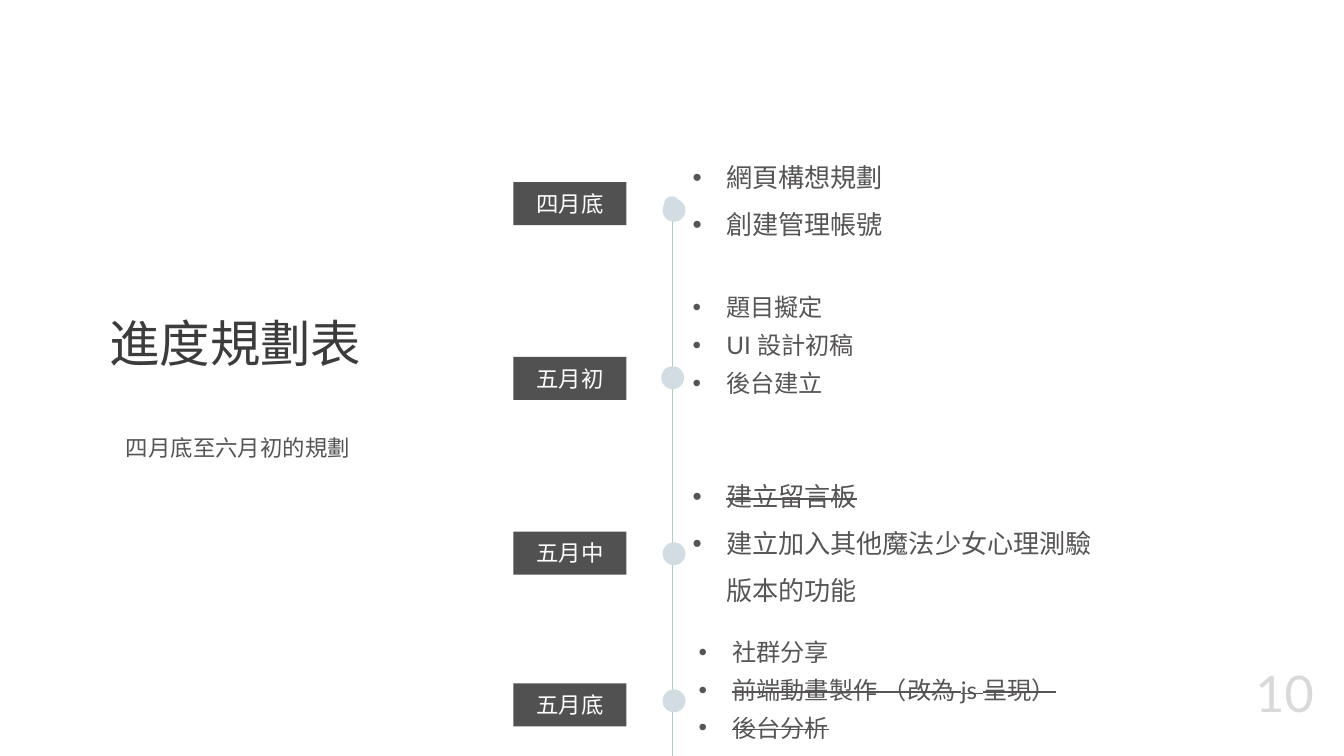
import pptx
import pptx.dml.color
import pptx.enum.shapes
import pptx.enum.text
import pptx.oxml
import pptx.oxml.ns
import pptx.util
from pptx.util import Inches

FONT = "Lato"
WHITE = "FFFFFF"
BODY_GRAY = "575454"
TITLE_GRAY = "3C3C3C"
LABEL_GRAY = "515151"
NUMBER_GRAY = "D9D9D9"
DOT_BLUE = "D1DDE2"
LINE_BLUE = "B2C7CE"

ALIGN = pptx.enum.text.PP_ALIGN
ANCHOR = pptx.enum.text.MSO_ANCHOR
SHAPE = pptx.enum.shapes.MSO_SHAPE

AXIS_X = 10
STOP_SIZE = 0.24
STOP_TOPS = [2.92 + 2.59 * step for step in range(3)]
MARKER_SIZE = 0.34
MARKERS = [(9.86, 2.96), (9.84, 5.45), (9.86, 8.07), (9.86, 10.26)]

MILESTONES = [
    ("四月底", 2.71, (10.21, 2.21, 4.29, 1.41), 28, 1.5,
     [("網頁構想規劃", False), ("創建管理帳號", False)]),
    ("五月初", 5.31, (10.21, 4.16, 4.29, 1.8), 25.9, 1.3,
     [("題目擬定", False), ("UI 設計初稿", False), ("後台建立", False)]),
    ("五月中", 7.91, (10.21, 6.85, 6.39, 2.22), 28, 1.5,
     [("建立留言板", True), ("建立加入其他魔法少女心理測驗版本的功能", False)]),
    ("五月底", 10.17, (10.3, 9.29, 6.87, 1.8), 25.9, 1.3,
     [("社群分享", False), ("前端動畫製作 （改為 js 呈現）", True), ("後台分析", True)]),
]


def color(hex_code):
    return pptx.dml.color.RGBColor.from_string(hex_code)


def add_run(paragraph, text, size, hex_code, struck=False):
    run = paragraph.add_run()
    run.text = text
    run.font.name = FONT
    run.font.size = pptx.util.Pt(size)
    run.font.color.rgb = color(hex_code)
    if struck:
        run.font._element.set("strike", "sngStrike")


def add_frame(slide, place, anchor):
    frame = slide.shapes.add_textbox(*map(Inches, place)).text_frame
    frame.word_wrap = True
    frame.vertical_anchor = anchor
    return frame


def add_text(slide, place, text, size, hex_code, anchor, align, spacing):
    paragraph = add_frame(slide, place, anchor).paragraphs[0]
    paragraph.alignment = align
    paragraph.line_spacing = spacing
    add_run(paragraph, text, size, hex_code)


def add_tasks(slide, place, size, spacing, tasks):
    frame = add_frame(slide, place, ANCHOR.BOTTOM)
    for index, (task, struck) in enumerate(tasks):
        paragraph = frame.add_paragraph() if index else frame.paragraphs[0]
        paragraph.line_spacing = spacing
        properties = paragraph._p.get_or_add_pPr()
        properties.set("marL", str(Inches(0.5)))
        properties.set("indent", str(Inches(-0.5)))
        bullet_font = pptx.oxml.parse_xml(
            f'<a:buFont {pptx.oxml.ns.nsdecls("a")} typeface="Arial"/>')
        bullet = pptx.oxml.parse_xml(
            f'<a:buChar {pptx.oxml.ns.nsdecls("a")} char="•"/>')
        properties.extend([bullet_font, bullet])
        add_run(paragraph, task, size, BODY_GRAY, struck)


def add_filled(slide, preset, place, hex_code):
    shape = slide.shapes.add_shape(preset, *map(Inches, place))
    shape.shadow.inherit = False
    shape.fill.solid()
    shape.fill.fore_color.rgb = color(hex_code)
    shape.line.fill.background()
    return shape


def add_dot(slide, left, top, size):
    add_filled(slide, SHAPE.OVAL, (left, top, size, size), DOT_BLUE)


def add_label(slide, top, text):
    label = add_filled(slide, SHAPE.RECTANGLE, (7.64, top, 1.68, 0.64), LABEL_GRAY)
    label.text_frame.vertical_anchor = ANCHOR.MIDDLE
    paragraph = label.text_frame.paragraphs[0]
    paragraph.alignment = ALIGN.CENTER
    add_run(paragraph, text, 24, WHITE)


def add_axis_line(slide, top, bottom):
    line = slide.shapes.add_connector(
        pptx.enum.shapes.MSO_CONNECTOR.STRAIGHT,
        Inches(AXIS_X), Inches(top), Inches(AXIS_X), Inches(bottom))
    line.line.color.rgb = color(LINE_BLUE)
    line.line.width = pptx.util.Pt(1)
    line._element.spPr.append(pptx.oxml.parse_xml(
        f'<a:effectLst {pptx.oxml.ns.nsdecls("a")}/>'))


def add_timeline(slide, slide_bottom):
    for top, next_top in zip(STOP_TOPS, STOP_TOPS[1:] + [slide_bottom]):
        add_dot(slide, AXIS_X - STOP_SIZE / 2, top, STOP_SIZE)
        add_axis_line(slide, top + STOP_SIZE, next_top)


def main():
    deck = pptx.Presentation()
    deck.slide_width = Inches(20)
    deck.slide_height = Inches(11.25)
    slide = deck.slides.add_slide(deck.slide_layouts[6])

    add_timeline(slide, 11.25)
    add_text(slide, (1.53, 2.31, 5.24, 3.3), "進度規劃表", 54, TITLE_GRAY,
             ANCHOR.BOTTOM, ALIGN.LEFT, 0.9)
    add_text(slide, (0.92, 6.17, 5.24, 3.24), "四月底至六月初的規劃", 24, BODY_GRAY,
             ANCHOR.TOP, ALIGN.CENTER, 1.6)
    for month, label_top, place, size, spacing, tasks in MILESTONES:
        add_label(slide, label_top, month)
        add_tasks(slide, place, size, spacing, tasks)
    for left, top in MARKERS:
        add_dot(slide, left, top, MARKER_SIZE)
    add_text(slide, (18.15, 9.75, 1.5, 1.1), "10", 54, NUMBER_GRAY,
             ANCHOR.MIDDLE, ALIGN.RIGHT, 1.0)

    deck.save("out.pptx")


if __name__ == "__main__":
    main()
